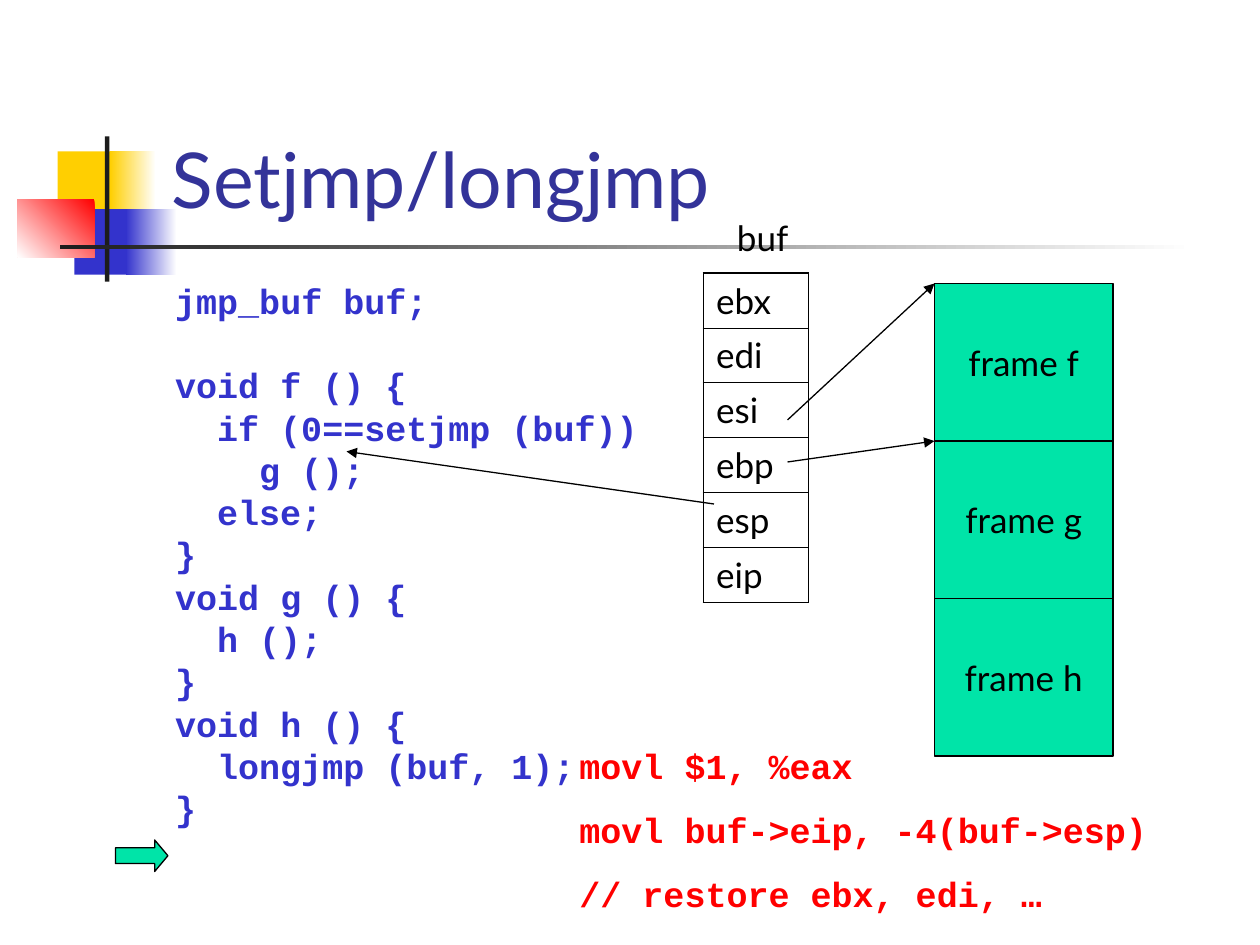
from pptx import Presentation
from pptx.dml.color import RGBColor as RGB
from pptx.enum.shapes import MSO_CONNECTOR as Link, MSO_SHAPE as Kind
from pptx.enum.text import MSO_ANCHOR as Anchor, PP_ALIGN as Align
from pptx.oxml import parse_xml
from pptx.oxml.ns import nsdecls
from pptx.util import Pt

BLACK = RGB(0, 0, 0)
WHITE = RGB(255, 255, 255)
DARK = RGB(0x1C, 0x1C, 0x1C)
GOLD = RGB(0xFF, 0xCF, 0x01)
BLUE = RGB(0x33, 0x33, 0xCC)
NAVY = RGB(0x33, 0x33, 0x99)
RED = RGB(255, 0, 0)
GREEN = RGB(0x00, 0xE4, 0xA8)
SANS, MONO = "Lato", "Courier New"


class Deck:
    size = 20
    step = 24  # width of two code letters
    thin = 0.75

    def __init__(self, wide, high):
        self.prs = Presentation()
        self.prs.slide_width, self.prs.slide_height = Pt(wide), Pt(high)
        self.slide = self.prs.slides.add_slide(self.prs.slide_layouts[6])

    def put(self, para, text, color=BLACK, font=SANS, size=size, bold=False):
        run = para.add_run()
        run.text = text
        run.font.name, run.font.size, run.font.bold = font, Pt(size), bold
        run.font.color.rgb = color

    def shape(self, box, fill, kind=Kind.RECTANGLE, line=False):
        item = self.slide.shapes.add_shape(kind, *map(Pt, box))
        item.shadow.inherit = False
        item.fill.solid()
        item.fill.fore_color.rgb = fill
        if line:
            item.line.color.rgb = BLACK
            item.line.width = Pt(self.thin)
        else:
            item.line.fill.background()
        return item

    def fade(self, box, first, last, angle=180):
        fill = self.shape(box, first).fill
        fill.gradient()
        fill.gradient_angle = angle
        for stop, color in zip(fill.gradient_stops, (first, last)):
            stop.color.rgb = color

    def frame(self, box, text):
        item = self.shape(box, GREEN, line=True)
        body = item.text_frame
        body.word_wrap = False
        body.vertical_anchor = Anchor.MIDDLE
        body.paragraphs[0].alignment = Align.CENTER
        self.put(body.paragraphs[0], text)

    def area(self, box, anchor=Anchor.TOP):
        body = self.slide.shapes.add_textbox(*map(Pt, box)).text_frame
        body.word_wrap = True
        body.vertical_anchor = anchor
        return body

    def label(self, box, text, anchor=Anchor.TOP, **look):
        self.put(self.area(box, anchor).paragraphs[0], text, **look)

    def listing(self, box, rows, color, pitch, gap):
        """Each row is (indent level, extra space before, text)."""
        body = self.area(box)
        body.margin_top = Pt(5.3)
        for i, (level, extra, text) in enumerate(rows):
            para = body.add_paragraph() if i else body.paragraphs[0]
            para.line_spacing = Pt(pitch)
            para.space_before = Pt(gap + extra if i else 0)
            if level:
                para._p.get_or_add_pPr().set("marL", str(Pt(level * self.step)))
            self.put(para, text, color, MONO, bold=True)

    def table(self, box, names):
        grid = self.slide.shapes.add_table(len(names), 1, *map(Pt, box)).table
        grid.first_row = grid.horz_banding = False
        last = len(names) - 1
        for i, name in enumerate(names):
            cell = grid.cell(i, 0)
            cell.vertical_anchor = Anchor.MIDDLE
            self.put(cell.text_frame.paragraphs[0], name)
            thick, slim = 1.08, 0.45
            self.edge(cell, L=thick, R=thick, T=slim if i else thick,
                      B=thick if i == last else slim)
            cell.fill.background()

    def edge(self, cell, **sides):
        props = cell._tc.get_or_add_tcPr()
        for side, width in sides.items():
            props.append(parse_xml(
                f'<a:ln{side} {nsdecls("a")} w="{Pt(width)}"><a:solidFill>'
                f'<a:srgbClr val="{BLACK}"/></a:solidFill></a:ln{side}>'))

    def arrow(self, *ends):
        link = self.slide.shapes.add_connector(Link.STRAIGHT, *map(Pt, ends))
        link.line.color.rgb = BLACK
        link.line.width = Pt(self.thin)
        props = link._element.spPr
        props.get_or_add_ln().append(
            parse_xml(f'<a:tailEnd {nsdecls("a")} type="triangle"/>'))
        props.append(parse_xml(f'<a:effectLst {nsdecls("a")}/>'))


def main():
    deck = Deck(720, 540)

    # Corner squares and rules
    deck.shape((33, 86.5, 34.5, 37.5), GOLD)
    deck.fade((63, 86.5, 26, 37.5), WHITE, GOLD)
    deck.shape((42.5, 119.5, 33, 37.5), BLUE)
    deck.fade((72, 119.5, 29, 37.5), WHITE, BLUE)
    deck.fade((10, 114, 44, 33), RED, WHITE, 225)
    deck.shape((60, 78, 2.5, 83), DARK)
    deck.fade((34.5, 140, 648, 2.5), WHITE, DARK)

    # Title and C code
    deck.label((91, 16.5, 613, 115), "Setjmp/longjmp", Anchor.BOTTOM,
               color=NAVY, size=44)
    deck.listing((93, 159, 300, 324), [
        (0, 0, "jmp_buf buf;"),
        (0, 24.2, "void f () {"),
        (1, 0, "if (0==setjmp (buf))"),
        (2, 0, "g ();"),
        (1, 0, "else;"),
        (0, 0, "}"),
        (0, 0, "void g () {"),
        (1, 0, "h ();"),
        (0, 0, "}"),
        (0, 0, "void h () {"),
        (1, 0, "longjmp (buf, 1);"),
        (0, 0, "}"),
    ], BLUE, 19.2, 5)

    # Stack frames
    for i, name in enumerate("fgh"):
        deck.frame((534, 162 + 90 * i, 102, 90), f"frame {name}")

    # Saved registers
    deck.table((402, 156, 60, 188.4),
               ["ebx", "edi", "esi", "ebp", "esp", "eip"])
    deck.label((414, 120, 54, 31.5), "buf")

    # Pointers
    deck.arrow(450, 240, 534, 162)
    deck.arrow(450, 264, 534, 252)
    deck.arrow(408, 288, 198, 258)

    # Current line marker
    mark = deck.shape((66, 480, 30, 18), GREEN, Kind.RIGHT_ARROW, True)
    mark.adjustments[1] = 0.42

    # Assembly code
    deck.listing((324, 420, 342, 104.5), [
        (0, 0, "movl $1, %eax"),
        (0, 0, "movl buf->eip, -4(buf->esp)"),
        (0, 0, "// restore ebx, edi, …"),
    ], RED, 24, 12.5)

    deck.prs.save("out.pptx")


if __name__ == "__main__":
    main()
